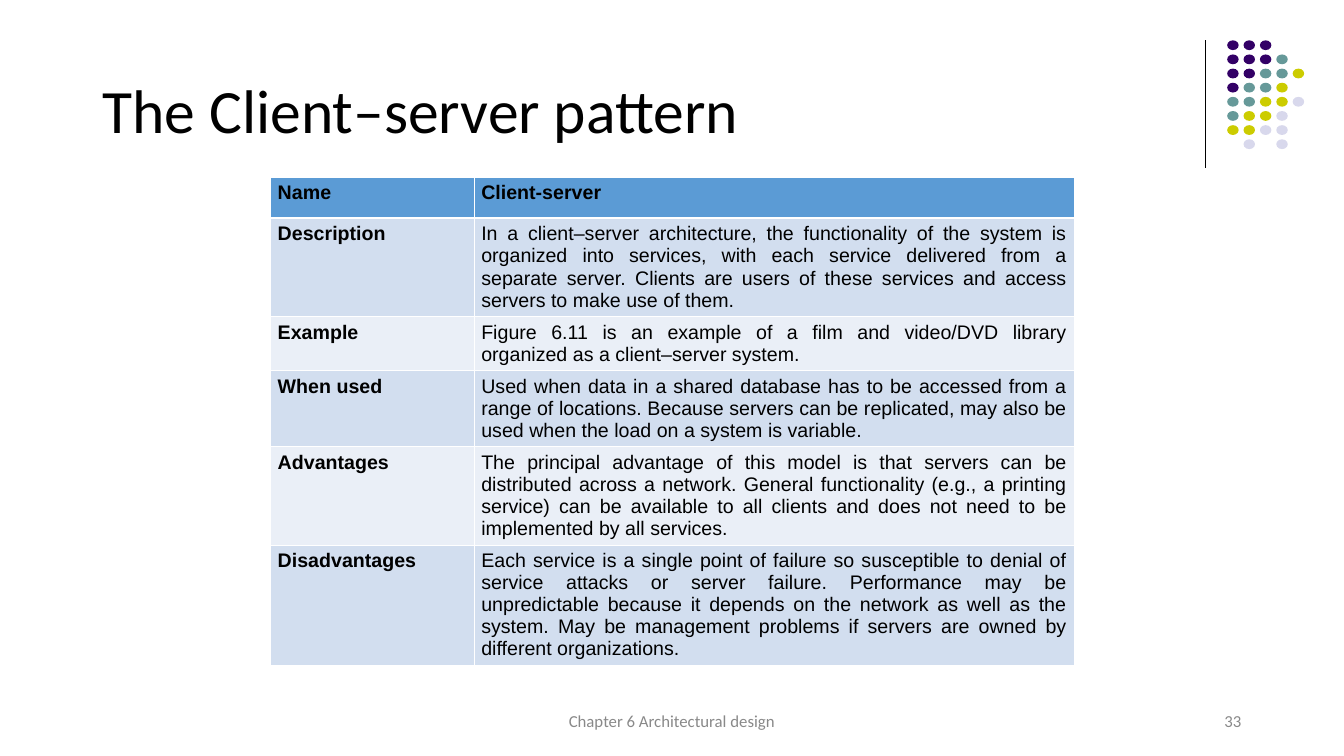
from lxml.etree import SubElement
from pptx import Presentation
from pptx.dml.color import RGBColor
from pptx.enum.shapes import MSO_CONNECTOR, MSO_SHAPE
from pptx.enum.text import MSO_ANCHOR, PP_ALIGN
from pptx.oxml import parse_xml
from pptx.oxml.ns import nsdecls, qn
from pptx.util import Pt

BLACK = RGBColor(0x00, 0x00, 0x00)
GRAY = RGBColor(0x89, 0x89, 0x89)
HEADER = RGBColor(0x5B, 0x9B, 0xD5)
BAND_DARK = RGBColor(0xD2, 0xDE, 0xEF)
BAND_LIGHT = RGBColor(0xEA, 0xEF, 0xF7)
DOT_COLORS = {
    "P": RGBColor(0x33, 0x00, 0x66),
    "T": RGBColor(0x66, 0x99, 0x99),
    "Y": RGBColor(0xCC, 0xCC, 0x00),
    "L": RGBColor(0xD8, 0xD8, 0xEC),
}
DOT_ROWS = ["PPP", "PPPT", "PPTTY", "PTTY", "TTYYL", "TYYL", "YYLL", " L L"]

COLUMN_WIDTHS = [145.5, 429]
ROW_HEIGHTS = [29.5, 67, 34, 50.4, 67, 84]
PATTERN_ROWS = [
    ("Name", "Client-server"),
    ("Description", "In a client–server architecture, the functionality of the "
     "system is organized into services, with each service delivered from a "
     "separate server. Clients are users of these services and access servers "
     "to make use of them."),
    ("Example", "Figure 6.11 is an example of a film and video/DVD library "
     "organized as a client–server system."),
    ("When used", "Used when data in a shared database has to be accessed from "
     "a range of locations. Because servers can be replicated, may also be used "
     "when the load on a system is variable."),
    ("Advantages", "The principal advantage of this model is that servers can be "
     "distributed across a network. General functionality (e.g., a printing "
     "service) can be available to all clients and does not need to be "
     "implemented by all services."),
    ("Disadvantages", "Each service is a single point of failure so susceptible "
     "to denial of service attacks or server failure. Performance may be "
     "unpredictable because it depends on the network as well as the system. "
     "May be management problems if servers are owned by different "
     "organizations."),
]


def write_text(tf, text, size, font="Calibri", color=BLACK, bold=False,
               align=PP_ALIGN.LEFT, spacing=1.0):
    p = tf.paragraphs[0]
    p.alignment = align
    p.line_spacing = spacing
    r = p.add_run()
    r.text = text
    r.font.size = Pt(size)
    r.font.name = font
    r.font.bold = bold
    r.font.color.rgb = color


def add_title(s, text):
    title = s.shapes.title
    title.left, title.top = Pt(66.2), Pt(28.8)
    title.width, title.height = Pt(792), Pt(104.4)
    title.text_frame.vertical_anchor = MSO_ANCHOR.MIDDLE
    write_text(title.text_frame, text, 44, spacing=0.9)


def add_footer(s, text, left, width, align):
    tf = s.shapes.add_textbox(Pt(left), Pt(500.4), Pt(width), Pt(28.8)).text_frame
    tf.word_wrap = True
    tf.vertical_anchor = MSO_ANCHOR.MIDDLE
    write_text(tf, text, 12, color=GRAY, align=align)


def add_rule(s):
    rule = s.shapes.add_connector(
        MSO_CONNECTOR.STRAIGHT, Pt(861.8), Pt(28.8), Pt(861.8), Pt(120.3))
    rule.line.color.rgb = BLACK
    rule.line.width = Pt(0.75)
    SubElement(rule._element.spPr, qn("a:effectLst"))


def add_dots(s):
    for row, keys in enumerate(DOT_ROWS):
        for col, key in enumerate(keys):
            if key == " ":
                continue
            sp = s.shapes.add_shape(
                MSO_SHAPE.OVAL, Pt(877 + 11.7 * col), Pt(28.8 + 10.1 * row),
                Pt(8.2), Pt(7))
            sp.shadow.inherit = False
            sp.fill.solid()
            sp.fill.fore_color.rgb = DOT_COLORS[key]
            sp.line.fill.background()


def set_borders(cell, **widths):
    tc_pr = cell._tc.get_or_add_tcPr()
    for index, side in enumerate("LRTB"):
        width = Pt(widths.get(side, 0.45))
        tc_pr.insert(index, parse_xml(
            f'<a:ln{side} {nsdecls("a")} w="{width}"><a:solidFill>'
            f'<a:srgbClr val="FFFFFF"/></a:solidFill></a:ln{side}>'))


def format_cell(cell, text, row, bold):
    cell.margin_left = cell.margin_right = Pt(5.2)
    cell.margin_top = cell.margin_bottom = Pt(3.6)
    cell.fill.solid()
    cell.fill.fore_color.rgb = (
        HEADER if row == 0 else BAND_DARK if row % 2 else BAND_LIGHT)
    set_borders(cell, T=1.47 if row == 1 else 0.45, B=1.47 if row == 0 else 0.45)
    write_text(cell.text_frame, text, 14, font="Arial", bold=bold,
               align=PP_ALIGN.JUSTIFY)


def add_pattern_table(s):
    table = s.shapes.add_table(
        len(PATTERN_ROWS), len(COLUMN_WIDTHS), Pt(193.3), Pt(126.3),
        Pt(sum(COLUMN_WIDTHS)), Pt(sum(ROW_HEIGHTS))).table
    for column, width in zip(table.columns, COLUMN_WIDTHS):
        column.width = Pt(width)
    for row, texts in enumerate(PATTERN_ROWS):
        table.rows[row].height = Pt(ROW_HEIGHTS[row])
        for col, text in enumerate(texts):
            format_cell(table.cell(row, col), text, row, row == 0 or col == 0)


def main():
    prs = Presentation()
    prs.slide_width, prs.slide_height = Pt(960.5), Pt(540)
    s = prs.slides.add_slide(prs.slide_layouts[5])
    add_rule(s)
    add_dots(s)
    add_title(s, "The Client–server pattern")
    add_pattern_table(s)
    add_footer(s, "33", 678.2, 216, PP_ALIGN.RIGHT)
    add_footer(s, "Chapter 6 Architectural design", 318.2, 324, PP_ALIGN.CENTER)
    prs.save("out.pptx")


if __name__ == "__main__":
    main()
